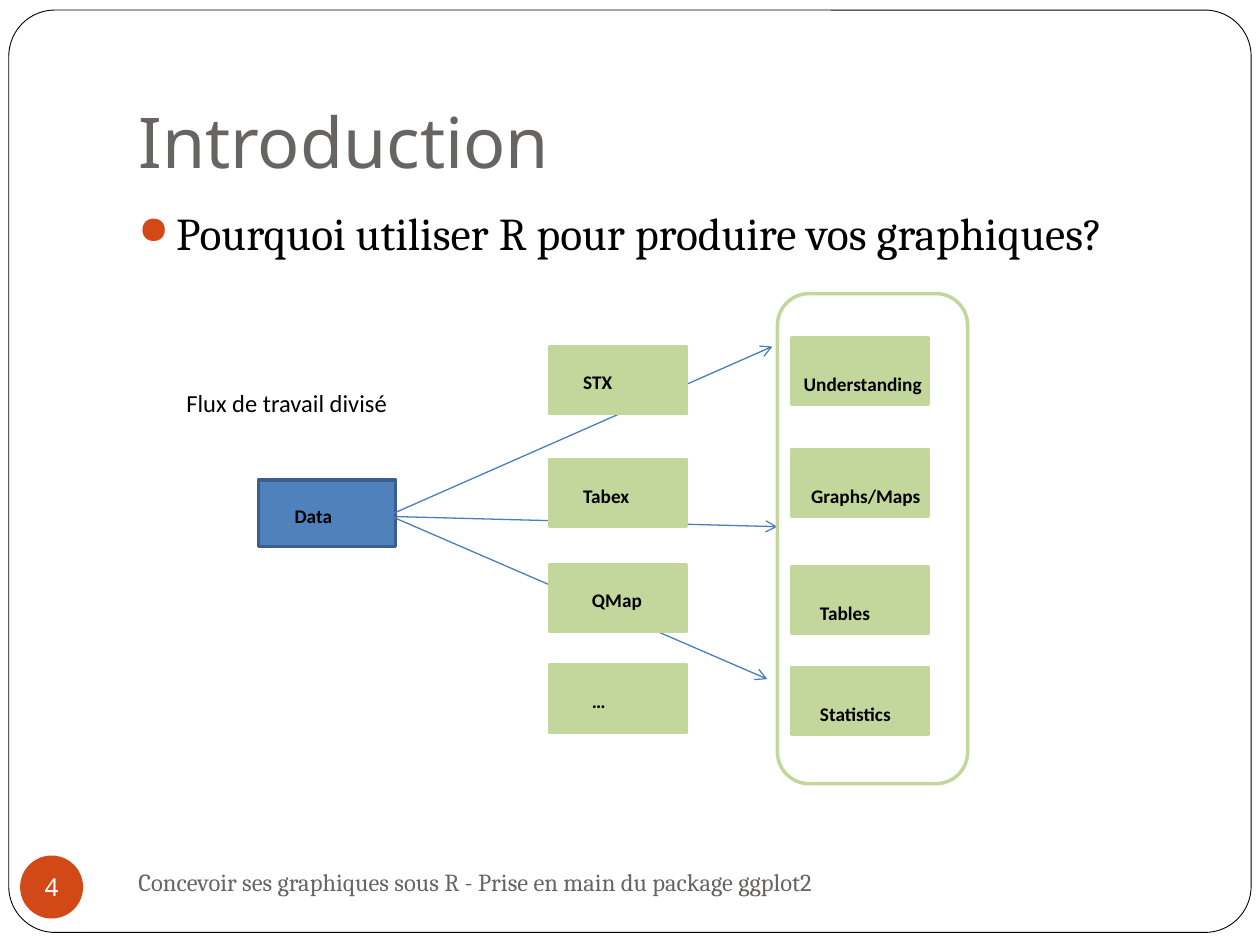
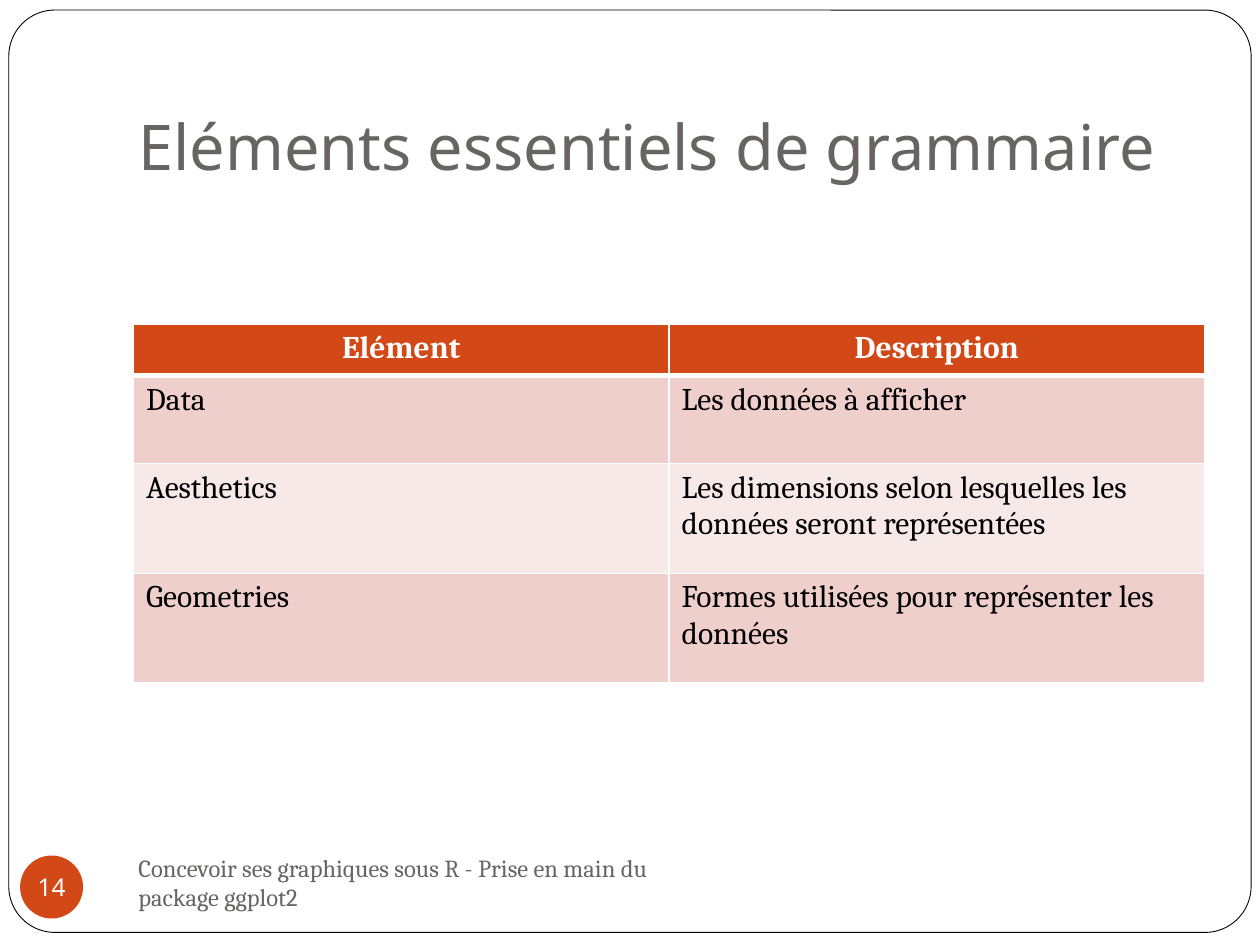
from dataclasses import dataclass

from lxml import etree
from pptx import Presentation
from pptx.dml.color import RGBColor
from pptx.enum.shapes import MSO_CONNECTOR, MSO_SHAPE
from pptx.enum.text import MSO_ANCHOR, PP_ALIGN
from pptx.oxml.ns import qn
from pptx.util import Inches, Pt

RECT, ROUNDED, OVAL = MSO_SHAPE.RECTANGLE, MSO_SHAPE.ROUNDED_RECTANGLE, MSO_SHAPE.OVAL
STRAIGHT = MSO_CONNECTOR.STRAIGHT
TOP, MIDDLE, BOTTOM = MSO_ANCHOR.TOP, MSO_ANCHOR.MIDDLE, MSO_ANCHOR.BOTTOM
LEFT, CENTER = PP_ALIGN.LEFT, PP_ALIGN.CENTER

CELL = 0.1
COLUMNS, ROWS = 100, 75
WHITE, BLACK, GREY, ORANGE = "FFFFFF", "000000", "696464", "D34817"
GREEN, BLUE, BLUE_EDGE, ARROW = "C3D69B", "4F81BD", "3A5F8C", "4B7EBC"
BANDS = ("EFCFCC", "F7E9E8")
HEADING, BODY, DIAGRAM = "Noto Sans", "Cambria", "Calibri"
FOOTER = "Concevoir ses graphiques sous R - Prise en main du package ggplot2"
NODE_W, NODE_H = 10.9, 5.3
LABEL_W, LABEL_H = 15.7, 7


@dataclass
class Box:
    """A region measured in grid cells from the slide's corner."""
    x: float
    y: float
    w: float
    h: float

    def area(self, x, y, w, h):
        """Return a region placed relative to this one."""
        return Box(self.x + x, self.y + y, w, h)

    def emu(self):
        """Return left, top, width and height as lengths."""
        return [Inches(n * CELL) for n in (self.x, self.y, self.w, self.h)]


def colour(value):
    """Turn a hex string into a colour."""
    return RGBColor.from_string(value)


def style(paragraph, size, font, ink, bold=False, align=LEFT):
    """Format every run of a paragraph."""
    paragraph.alignment = align
    for run in paragraph.runs:
        run.font.size, run.font.name, run.font.bold = Pt(size), font, bold
        run.font.color.rgb = colour(ink)


def add_text(slide, box, text, size, font, ink, anchor=MIDDLE, bold=False):
    """Add a wrapped text box and return its text frame."""
    frame = slide.shapes.add_textbox(*box.emu()).text_frame
    frame.word_wrap = True
    frame.vertical_anchor = anchor
    frame.text = text
    style(frame.paragraphs[0], size, font, ink, bold)
    return frame


def add_panel(slide, kind, box, fill=None, edge=None, weight=2):
    """Add a flat preset shape."""
    panel = slide.shapes.add_shape(kind, *box.emu())
    panel.shadow.inherit = False
    if fill:
        panel.fill.solid()
        panel.fill.fore_color.rgb = colour(fill)
    else:
        panel.fill.background()
    if edge:
        panel.line.color.rgb = colour(edge)
        panel.line.width = Pt(weight)
    else:
        panel.line.fill.background()
    return panel


def add_arrow(slide, box, start, end):
    """Draw an open-headed arrow between two points of a region."""
    points = (box.x + start[0], box.y + start[1], box.x + end[0], box.y + end[1])
    arrow = slide.shapes.add_connector(STRAIGHT, *(Inches(n * CELL) for n in points))
    arrow.line.color.rgb = colour(ARROW)
    arrow.line.width = Pt(0.75)
    properties = arrow._element.spPr
    etree.SubElement(properties.find(qn("a:ln")), qn("a:tailEnd"), type="arrow")
    etree.SubElement(properties, qn("a:effectLst"))


def add_diagram_label(slide, box, text, size=11, bold=True):
    """Add a diagram caption with its paragraph spacing."""
    paragraph = add_text(slide, box, text, size, DIAGRAM, BLACK, bold=bold).paragraphs[0]
    paragraph.line_spacing = 1.15
    paragraph.space_after = Pt(10)


def add_node(slide, box, text, shift, fill=GREEN, edge=GREEN):
    """Add a coloured node and its shifted label."""
    add_panel(slide, RECT, box, fill, edge)
    add_diagram_label(slide, box.area(*shift, LABEL_W, LABEL_H), text)


def add_bullet(slide, box, text):
    """Add one bulleted statement."""
    paragraph = add_text(slide, box, text, 26, BODY, BLACK, TOP).paragraphs[0]
    paragraph.space_before = Pt(5.8)
    properties = paragraph._p.get_or_add_pPr()
    properties.set("marL", str(Inches(0.3)))
    properties.set("indent", str(Inches(-0.3)))
    tint = etree.SubElement(properties, qn("a:buClr"))
    etree.SubElement(tint, qn("a:srgbClr"), val=ORANGE)
    etree.SubElement(properties, qn("a:buSzPct"), val="85000")
    etree.SubElement(properties, qn("a:buChar"), char="●")


def add_workflow(slide, box):
    """Draw the split workflow from data through tools to outputs."""
    tools = (("STX", 4.2, 1.7), ("Tabex", 13.2, 1.7), ("QMap", 21.5, 2.4), ("…", 29.5, 2.4))
    outputs = (("Understanding", 3.5, 0), ("Graphs/Maps", 12.4, 0.6),
               ("Tables", 21.7, 1.3), ("Statistics", 29.7, 1.3))
    arrows = (((17.3, 17.7), (47.1, 30.6)), ((17.7, 17.7), (47.9, 18.5)),
              ((17.3, 17.5), (47.5, 4.2)))
    add_diagram_label(slide, box.area(0, 5, 21.1, 7), "Flux de travail divisé", 14, False)
    add_node(slide, box.area(6.7, 14.8, NODE_W, NODE_H), "Data", (1.9, -0.8), BLUE, BLUE_EDGE)
    for start, end in arrows:
        add_arrow(slide, box, start, end)
    for column, rise, nodes in ((29.8, -0.8, tools), (49, 0, outputs)):
        for text, row, indent in nodes:
            add_node(slide, box.area(column, row, NODE_W, NODE_H), text, (indent, rise))
    add_panel(slide, ROUNDED, box.area(47.9, 0, 15.1, box.h), edge=GREEN)


def add_borders(cell, widths):
    """Give a table cell white borders of the given point widths."""
    properties = cell._tc.get_or_add_tcPr()
    for place, (side, width) in enumerate(zip("LRTB", widths)):
        line = etree.Element(qn("a:ln" + side), w=str(Pt(width)))
        fill = etree.SubElement(line, qn("a:solidFill"))
        etree.SubElement(fill, qn("a:srgbClr"), val=WHITE)
        properties.insert(place, line)


def add_grammar_table(slide, box, records, heights):
    """Add the banded table with its header row."""
    table = slide.shapes.add_table(len(records), len(records[0]), *box.emu()).table
    for column in table.columns:
        column.width = Inches(box.w * CELL / len(records[0]))
    for index, (record, height) in enumerate(zip(records, heights)):
        header = index == 0
        table.rows[index].height = Inches(height * CELL)
        for cell, text in zip(table.rows[index].cells, record):
            cell.text = text
            style(cell.text_frame.paragraphs[0], 18, BODY, WHITE if header else BLACK,
                  header, CENTER if header else LEFT)
            cell.fill.solid()
            cell.fill.fore_color.rgb = colour(ORANGE if header else BANDS[(index - 1) % 2])
            add_borders(cell, (1, 1, 3 if index == 1 else 1, 3 if header else 1))


def add_page(deck, page, title, number, title_size, footer_width):
    """Add a slide with the shared frame, title, footer and number."""
    slide = deck.slides.add_slide(deck.slide_layouts[6])
    frame = add_panel(slide, ROUNDED, page.area(0.7, 0.8, 98.6, 73.2), WHITE, BLACK, 0.5)
    frame.adjustments[0] = 0.05
    heading = add_text(slide, page.area(10, 3, 85, 12.5), title, title_size, HEADING, GREY, BOTTOM)
    heading.margin_bottom = Inches(0.1)
    add_text(slide, page.area(10, 67.5, footer_width, 5), FOOTER, 14, BODY, GREY)
    badge = add_panel(slide, OVAL, page.area(1.6, 67.9, 5, 5), ORANGE).text_frame
    badge.margin_left = badge.margin_right = badge.margin_top = badge.margin_bottom = 0
    badge.word_wrap = False
    badge.vertical_anchor = MIDDLE
    badge.text = str(number)
    style(badge.paragraphs[0], 14, HEADING, WHITE, align=CENTER)
    return slide


def main():
    """Build and save the deck."""
    deck = Presentation()
    deck.slide_width, deck.slide_height = Inches(COLUMNS * CELL), Inches(ROWS * CELL)
    page = Box(0, 0, COLUMNS, ROWS)

    introduction = add_page(deck, page, "Introduction", 4, 40, 66)
    add_bullet(introduction, page.area(10, 15.8, 85, 50),
               "Pourquoi utiliser R pour produire vos graphiques?")
    add_workflow(introduction, page.area(13.8, 23.3, 64.7, 38.9))

    grammar = add_page(deck, page, "Eléments essentiels de grammaire", 14, 36, 43.3)
    records = (
        ("Elément", "Description"),
        ("Data", "Les données à afficher"),
        ("Aesthetics", "Les dimensions selon lesquelles les données seront représentées"),
        ("Geometries", "Formes utilisées pour représenter les données"),
    )
    add_grammar_table(grammar, page.area(10.6, 25.7, 85, 28.5), records, (4.1, 7, 8.7, 8.7))
    deck.save("out.pptx")


main()
